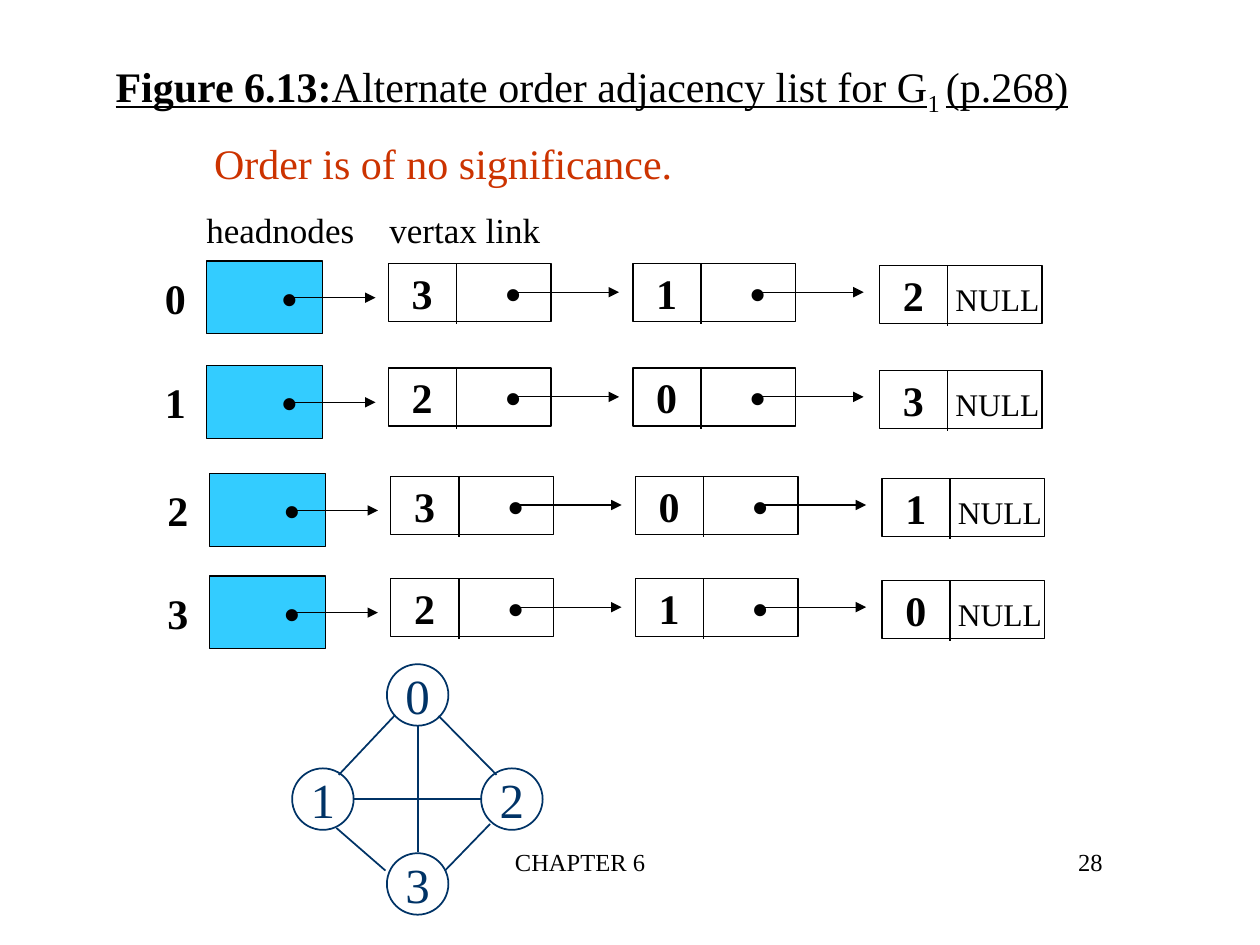
from dataclasses import dataclass

from lxml import etree
from pptx import Presentation
from pptx.dml.color import RGBColor
from pptx.enum.shapes import MSO_CONNECTOR, MSO_SHAPE
from pptx.enum.text import MSO_ANCHOR, PP_ALIGN
from pptx.oxml.ns import qn
from pptx.util import Cm, Pt

RECT, OVAL = MSO_SHAPE.RECTANGLE, MSO_SHAPE.OVAL
STRAIGHT = MSO_CONNECTOR.STRAIGHT
TOP, MIDDLE = MSO_ANCHOR.TOP, MSO_ANCHOR.MIDDLE
LEFT, CENTER, RIGHT = PP_ALIGN.LEFT, PP_ALIGN.CENTER, PP_ALIGN.RIGHT


@dataclass(frozen=True)
class Theme:
    font: str = "Times New Roman"
    bullet_font: str = "Arial"
    ink: str = "000000"
    paper: str = "FFFFFF"
    head: str = "33CCFF"
    accent: str = "CC3300"
    graph: str = "003366"
    vertex_size: int = 28
    body_size: int = 24
    caption_size: int = 20
    null_size: int = 18
    footer_size: int = 14
    list_line: float = 0.75
    graph_line: float = 1


THEME = Theme()
BULLET = ("•", {"font": THEME.bullet_font})
NULL = ("NULL", {"size": THEME.null_size, "bold": False})


def write(sp, runs, size=THEME.body_size, color=THEME.ink, bold=False,
          align=LEFT, anchor=MIDDLE, left=0, tab=None):
    tf = sp.text_frame
    tf.word_wrap = True
    tf.vertical_anchor = anchor
    tf.margin_left, tf.margin_right = Cm(left), 0
    tf.margin_top = tf.margin_bottom = Cm(0.13)
    p = tf.paragraphs[0]
    p.alignment = align
    if tab:
        tabs = etree.SubElement(p._p.get_or_add_pPr(), qn("a:tabLst"))
        etree.SubElement(tabs, qn("a:tab"), pos=str(Cm(tab)), algn="l")
    for text, style in runs:
        r = p.add_run()
        r.text = text
        r.font.name = style.get("font", THEME.font)
        r.font.size = Pt(style.get("size", size))
        r.font.bold = style.get("bold", bold)
        r.font.underline = style.get("underline", False)
        r.font.color.rgb = RGBColor.from_string(color)
        if "baseline" in style:
            r._r.get_or_add_rPr().set("baseline", str(style["baseline"]))


class Figure:
    def __init__(self, slide, theme):
        self.slide, self.theme = slide, theme

    def text(self, x, y, w, h, runs, **fmt):
        sp = self.slide.shapes.add_textbox(Cm(x), Cm(y), Cm(w), Cm(h))
        write(sp, runs, **fmt)

    def shape(self, kind, x, y, w, h, fill, line, width, runs, **fmt):
        sp = self.slide.shapes.add_shape(kind, Cm(x), Cm(y), Cm(w), Cm(h))
        sp.shadow.inherit = False
        sp.fill.solid()
        sp.fill.fore_color.rgb = RGBColor.from_string(fill)
        sp.line.color.rgb = RGBColor.from_string(line)
        sp.line.width = Pt(width)
        write(sp, runs, **fmt)

    def line(self, x1, y1, x2, y2, color, width, arrow=False):
        cx = self.slide.shapes.add_connector(
            STRAIGHT, Cm(x1), Cm(y1), Cm(x2), Cm(y2))
        cx.line.color.rgb = RGBColor.from_string(color)
        cx.line.width = Pt(width)
        if arrow:
            etree.SubElement(cx.line._get_or_add_ln(), qn("a:tailEnd"),
                             type="triangle")
        etree.SubElement(cx._element.spPr, qn("a:effectLst"))

    def list_line(self, x1, y1, x2, y2, arrow=False):
        self.line(x1, y1, x2, y2, self.theme.ink, self.theme.list_line, arrow)

    def head(self, x, y, label):
        t = self.theme
        self.text(x - 1.09, y + 0.1, 0.91, 1.27, [(label, {})],
                  bold=True, align=CENTER)
        self.shape(RECT, x, y, 2.34, 1.47, t.head, t.ink, t.list_line,
                   [BULLET], bold=True, left=1.52)
        self.list_line(x + 1.7, y + 0.74, x + 3.4, y + 0.74, arrow=True)

    def cell(self, x, y, vertex, last):
        t = self.theme
        self.shape(RECT, x, y, 3.28, 1.17, t.paper, t.ink, t.list_line,
                   [(vertex + "\t", {}), NULL if last else BULLET],
                   bold=True, left=0.47, tab=1.06 if last else 1.9)
        self.list_line(x + 1.37, y, x + 1.37, y + 1.22)
        if not last:
            self.list_line(x + 2.54, y + 0.58, x + 4.65, y + 0.58, arrow=True)

    def adjacency_list(self, x, y, label, vertices):
        self.head(x, y, label)
        for i, (dx, dy) in enumerate([(3.66, 0.05), (8.59, 0.05), (13.56, 0.1)]):
            self.cell(x + dx, y + dy, vertices[i], last=i == 2)

    def vertex(self, x, y, label):
        t = self.theme
        self.shape(OVAL, x, y, 1.24, 1.24, t.paper, t.graph, t.graph_line,
                   [(label, {})], size=t.vertex_size, color=t.graph,
                   align=CENTER)

    def edge(self, x1, y1, x2, y2):
        self.line(x1, y1, x2, y2, self.theme.graph, self.theme.graph_line)


def main():
    prs = Presentation()
    prs.slide_width, prs.slide_height = Cm(25.4), Cm(19.05)
    s = Figure(prs.slides.add_slide(prs.slide_layouts[6]), THEME)

    s.text(2.08, 0.81, 21.59, 1.96, [
        ("Figure 6.13:", {"bold": True, "underline": True}),
        ("Alternate order adjacency list for G", {"underline": True}),
        ("1 ", {"baseline": -25000}),
        ("(p.268)", {"underline": True}),
    ], left=0.25)
    s.text(4.06, 2.64, 9.75, 1.27, [("Order is of no significance.", {})],
           color=THEME.accent, align=CENTER)
    s.text(3.91, 4.06, 7.24, 1.12, [("headnodes\tvertax link", {})],
           size=THEME.caption_size, left=0.25, tab=3.69)

    for x, y, label, vertices in [(4.17, 5.26, "0", "312"),
                                  (4.17, 7.37, "1", "203"),
                                  (4.22, 9.55, "2", "301"),
                                  (4.22, 11.61, "3", "210")]:
        s.adjacency_list(x, y, label, vertices)

    for x, y, label in [(7.8, 13.39, "0"), (5.89, 15.49, "1"),
                        (9.7, 15.49, "2"), (7.8, 17.2, "3")]:
        s.vertex(x, y, label)
    for ends in [(8.42, 14.63, 8.42, 17.18), (7.13, 16.11, 9.69, 16.11),
                 (7.95, 14.43, 6.83, 15.62), (8.84, 14.43, 10.01, 15.62),
                 (6.78, 16.69, 7.77, 17.55), (9.88, 16.61, 8.97, 17.55)]:
        s.edge(*ends)

    s.text(7.67, 16.94, 8.05, 1.27, [("CHAPTER 6", {})],
           size=THEME.footer_size, align=CENTER, anchor=TOP)
    s.text(17.2, 16.94, 5.03, 1.27, [("28", {})],
           size=THEME.footer_size, align=RIGHT, anchor=TOP)

    prs.save("out.pptx")


if __name__ == "__main__":
    main()
